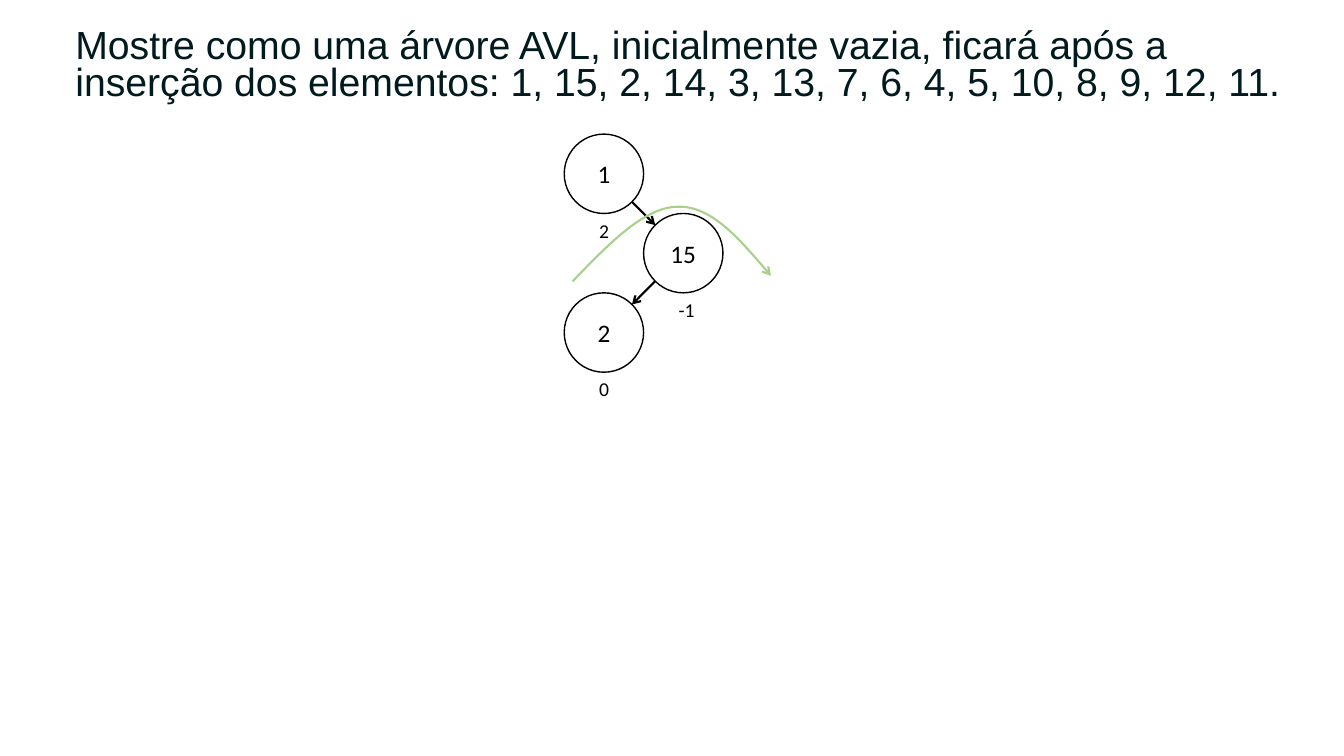
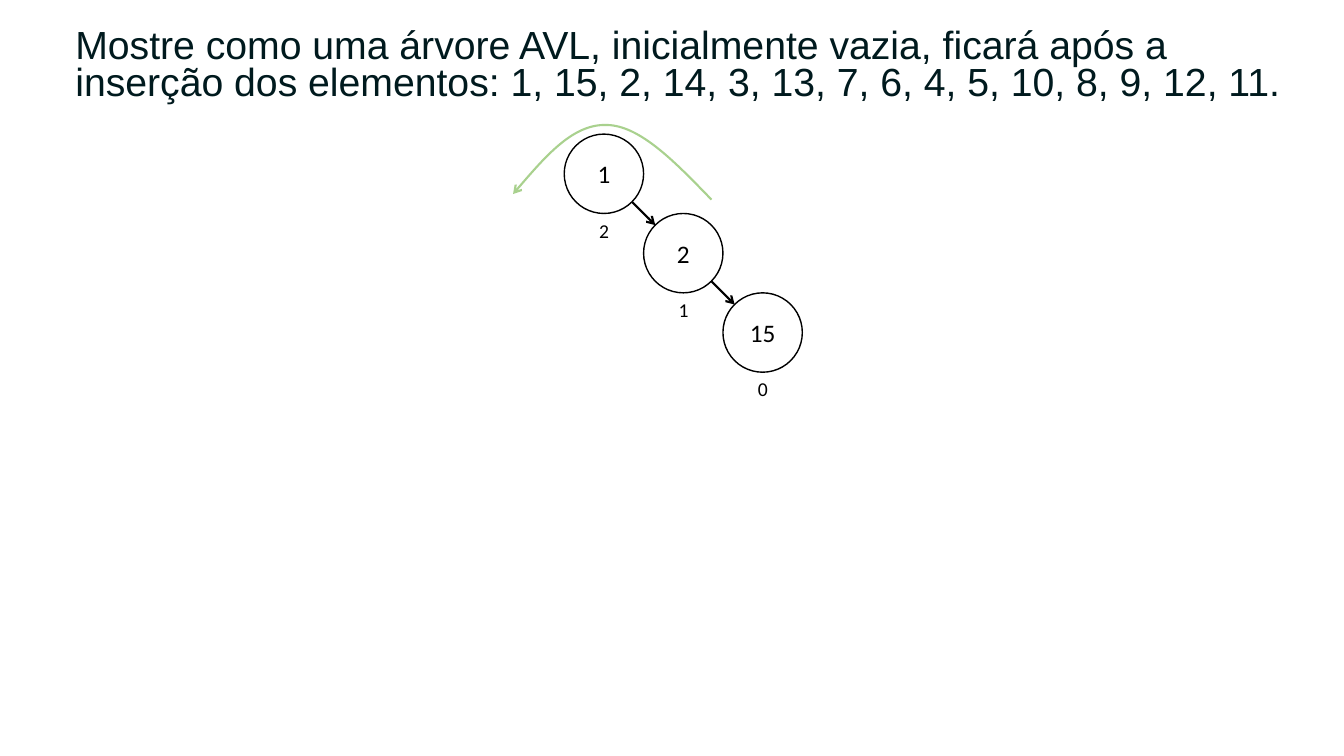
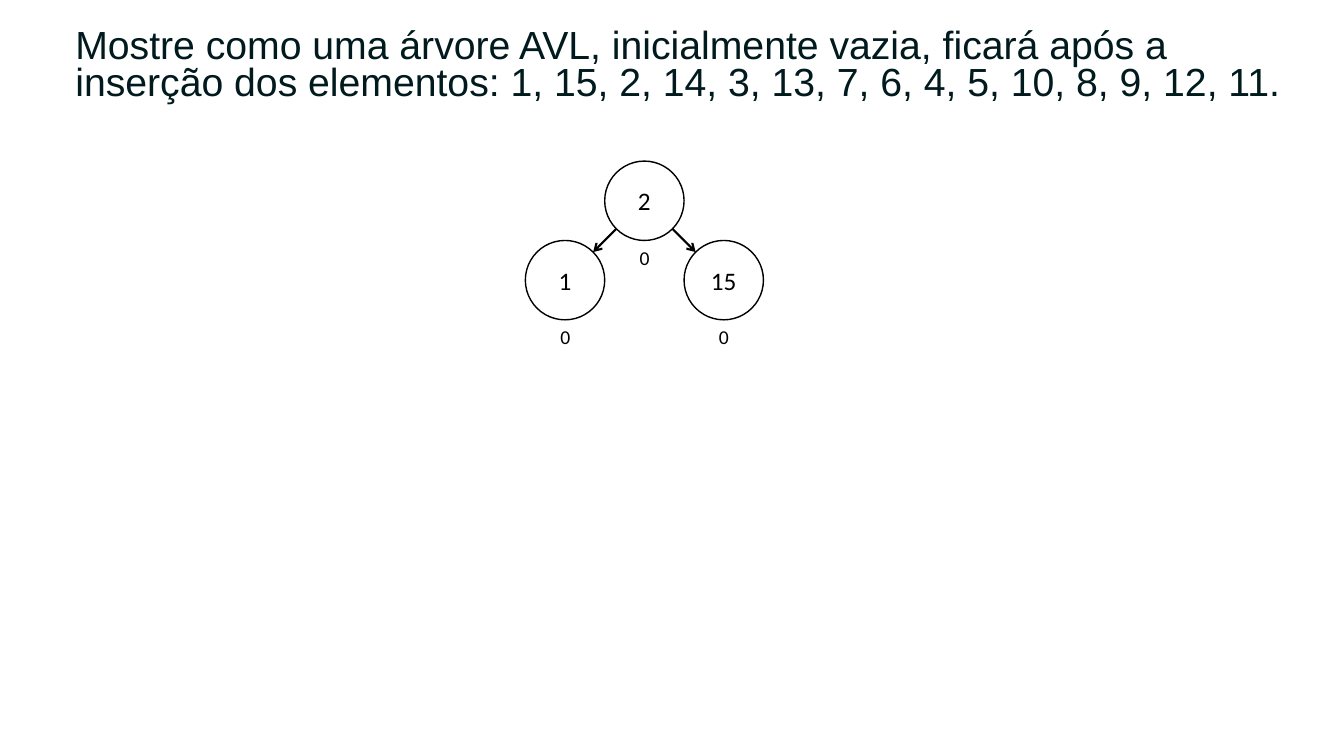
from math import sqrt

from lxml import etree
from pptx import Presentation
from pptx.dml.color import RGBColor
from pptx.enum.shapes import MSO_CONNECTOR, MSO_SHAPE
from pptx.enum.text import MSO_ANCHOR, PP_ALIGN
from pptx.oxml.ns import qn
from pptx.util import Cm, Pt

ELLIPSE = MSO_SHAPE.OVAL
STRAIGHT = MSO_CONNECTOR.STRAIGHT
CENTER = PP_ALIGN.CENTER
MIDDLE = MSO_ANCHOR.MIDDLE

TITLE = ("Mostre como uma árvore AVL, inicialmente vazia, ficará após a inserção "
         "dos elementos: 1, 15, 2, 14, 3, 13, 7, 6, 4, 5, 10, 8, 9, 12, 11.")

# Node: key, balance factor, column, row, key of the parent.
# Rotation: start of the arrow in cm, then 1 for rightward or -1 for leftward.
TREES = [
    {
        "origin": (14.22, 3.38),
        "nodes": [("1", "2", 0, 0, None), ("15", "-1", 1, 1, "1"), ("2", "0", 0, 2, "15")],
        "rotation": (14.43, 7.09, 1),
    },
    {
        "origin": (14.22, 3.38),
        "nodes": [("1", "2", 0, 0, None), ("2", "1", 1, 1, "1"), ("15", "0", 2, 2, "2")],
        "rotation": (17.93, 5.03, -1),
    },
    {
        "origin": (15.24, 4.06),
        "nodes": [("2", "0", 0, 0, None), ("1", "0", -1, 1, "2"), ("15", "0", 1, 1, "2")],
        "rotation": None,
    },
]

# Two Bézier segments, in cm from the start of the arrow.
ROTATION_CURVE = [(0.9, -0.93), (1.8, -1.87), (2.64, -1.88),
                  (3.47, -1.91), (4.24, -1.03), (5, -0.14)]

INK, TITLE_INK, GREEN = "000000", "001A1E", "A9D18E"
DIAMETER = 2
STEP = 2
LABEL_INDENT = 0.63
LABEL_SIZE = 1.07


def color(code):
    return RGBColor.from_string(code)


def add_span(para, text, size, font="Calibri", ink=INK):
    span = para.add_run()
    span.text = text
    span.font.size = Pt(size)
    span.font.name = font
    span.font.color.rgb = color(ink)


def add_text_box(page, left, top, width, height):
    """Add a wrapping text box and return its first paragraph."""
    box = page.shapes.add_textbox(Cm(left), Cm(top), Cm(width), Cm(height))
    box.text_frame.word_wrap = True
    return box.text_frame.paragraphs[0]


def style_line(shape, ink, width, arrow=False):
    shape.line.color.rgb = color(ink)
    shape.line.width = Pt(width)
    if arrow:
        outline = shape.line._get_or_add_ln()
        etree.SubElement(outline, qn("a:tailEnd"), type="arrow")


def add_title(page):
    para = add_text_box(page, 1.65, 0.61, 30.96, 3.45)
    para.line_spacing = 0.8
    para.space_before = Pt(10)
    add_span(para, TITLE, 28, "Arial", TITLE_INK)


def add_node(page, key, balance, left, top):
    circle = page.shapes.add_shape(ELLIPSE, Cm(left), Cm(top), Cm(DIAMETER), Cm(DIAMETER))
    circle.shadow.inherit = False
    circle.fill.background()
    style_line(circle, INK, 1)
    circle.text_frame.vertical_anchor = MIDDLE
    para = circle.text_frame.paragraphs[0]
    para.alignment = CENTER
    add_span(para, key, 18)
    label = add_text_box(page, left + LABEL_INDENT, top + DIAMETER, LABEL_SIZE, LABEL_SIZE)
    add_span(label, balance, 14)


def add_edge(page, parent, child):
    """Join two circles, given by their left and top, at their 45-degree points."""
    radius = DIAMETER / 2
    reach = radius / sqrt(2)
    side = reach if child[0] > parent[0] else -reach
    edge = page.shapes.add_connector(
        STRAIGHT,
        Cm(parent[0] + radius + side), Cm(parent[1] + radius + reach),
        Cm(child[0] + radius - side), Cm(child[1] + radius - reach))
    style_line(edge, INK, 1.5, arrow=True)
    etree.SubElement(edge._element.spPr, qn("a:effectLst"))


def add_rotation(page, left, top, direction):
    """Draw the curved arrow: lay out its control points, then make them curves."""
    builder = page.shapes.build_freeform(Cm(left), Cm(top))
    builder.add_line_segments(
        [(Cm(left + direction * x), Cm(top + y)) for x, y in ROTATION_CURVE], close=False)
    arrow = builder.convert_to_shape()
    arrow.shadow.inherit = False
    arrow.fill.background()
    style_line(arrow, GREEN, 1.5, arrow=True)
    outline = next(arrow._element.iter(qn("a:path")))
    segments = outline.findall(qn("a:lnTo"))
    for first in range(0, len(segments), 3):
        curve = etree.SubElement(outline, qn("a:cubicBezTo"))
        for segment in segments[first:first + 3]:
            curve.append(segment[0])
            outline.remove(segment)


def add_tree(page, tree):
    left, top = tree["origin"]
    places = {}
    for key, balance, column, row, parent in tree["nodes"]:
        places[key] = (left + column * STEP, top + row * STEP)
        add_node(page, key, balance, *places[key])
        if parent:
            add_edge(page, places[parent], places[key])
    if tree["rotation"]:
        add_rotation(page, *tree["rotation"])


def main():
    deck = Presentation()
    deck.slide_width, deck.slide_height = Cm(33.87), Cm(19.05)
    blank = deck.slide_layouts[6]
    for tree in TREES:
        page = deck.slides.add_slide(blank)
        add_title(page)
        add_tree(page, tree)
    deck.save("out.pptx")


if __name__ == "__main__":
    main()
